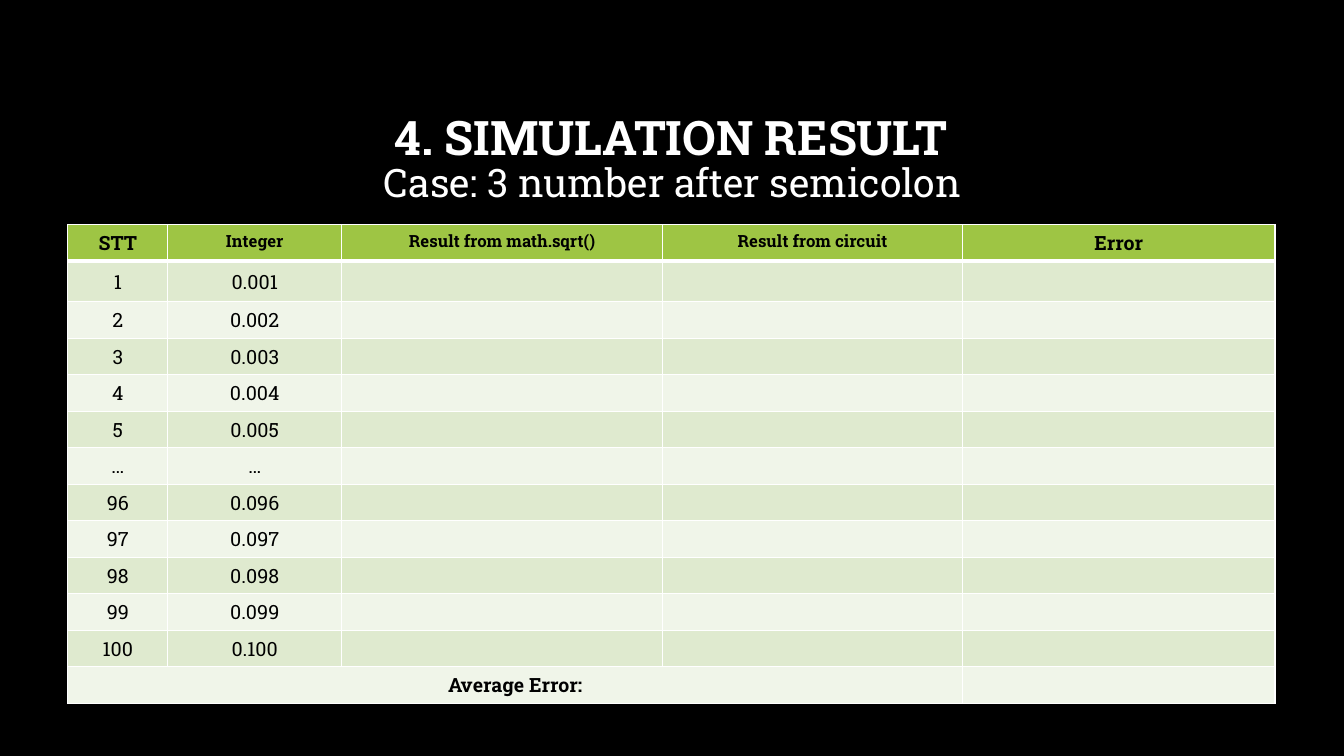
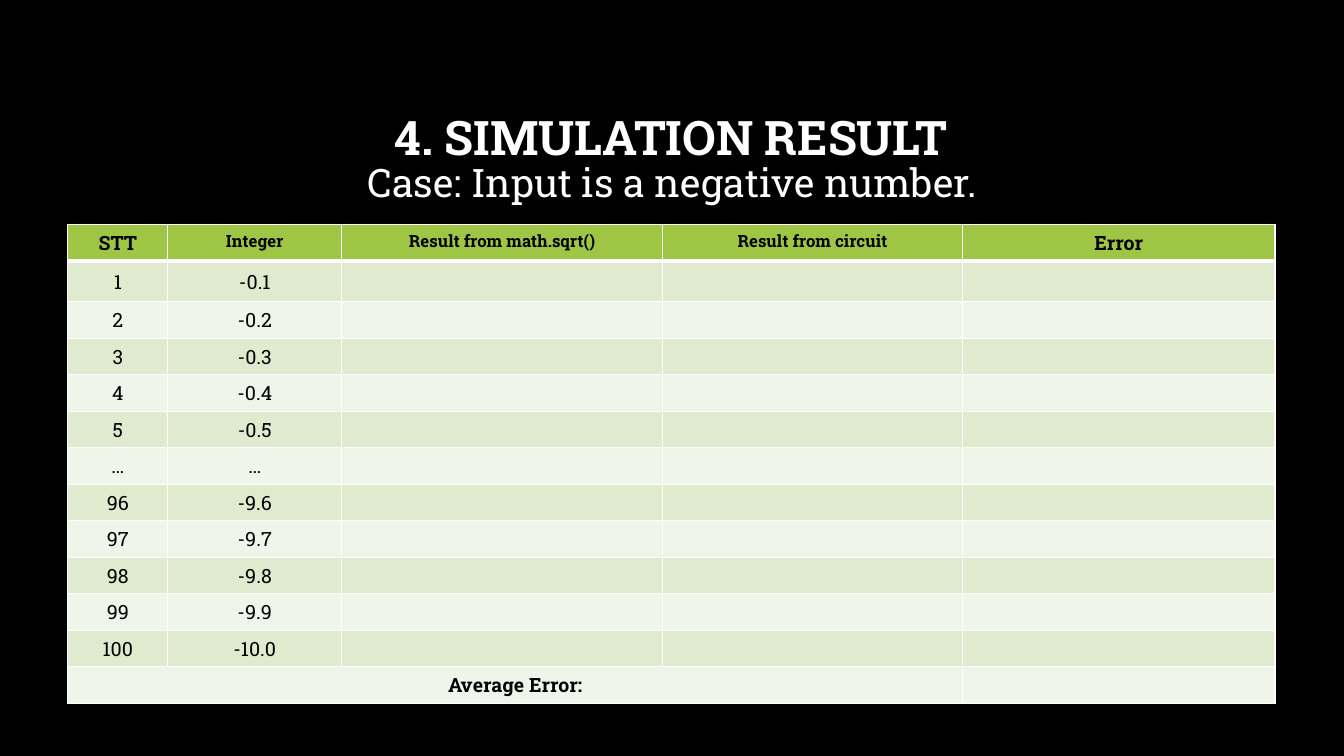
"""Build two simulation result slides, each with a table of square root tests."""
from lxml.etree import SubElement
from pptx import Presentation
from pptx.dml.color import RGBColor
from pptx.enum.text import MSO_ANCHOR as Anchor, PP_ALIGN as Align
from pptx.oxml.ns import qn
from pptx.util import Cm, Pt

TITLE = "4. SIMULATION RESULT"
CASES = [
    ("Case: 3 number after semicolon", 0.001, ".3f"),
    ("Case: Input is a negative number.", -0.1, ".1f"),
]
HEADINGS = [
    ("STT", 14),
    ("Integer", 12),
    ("Result from math.sqrt()", 12),
    ("Result from circuit", 12),
    ("Error", 14),
]
FIRST_TESTS, LAST_TESTS = range(1, 6), range(96, 101)
SUMMARY = "Average Error:"

FONT = "Roboto Slab"
BLACK, WHITE, GREEN = "000000", "FFFFFF", "9EC544"
BANDS = ["F0F5E9", "DFEACF"]
COLUMN_WIDTHS = [2.52, 4.38, 8.09, 7.56, 7.87]
ROW_HEIGHT, FIRST_TEST_HEIGHT = 0.92, 1.02


def paint(fill, color):
    fill.solid()
    fill.fore_color.rgb = RGBColor.from_string(color)


def write(frame, text, size=14, color=BLACK, bold=False, spacing=None, before=None):
    paragraph = frame.paragraphs[0]
    paragraph.alignment = Align.CENTER
    paragraph.line_spacing = spacing
    if before is not None:
        paragraph.space_before = Pt(before)
    if not text:
        SubElement(paragraph._p, qn("a:endParaRPr"), sz=str(size * 100))
        return
    run = paragraph.add_run()
    run.text = text
    run.font.name, run.font.size, run.font.bold = FONT, Pt(size), bold
    run.font.color.rgb = RGBColor.from_string(color)


def place(shape, left, top, width, height):
    shape.left, shape.top = Cm(left), Cm(top)
    shape.width, shape.height = Cm(width), Cm(height)


def outline(cell, top=1, bottom=1):
    properties = cell._tc.get_or_add_tcPr()
    for side, width in (("L", 1), ("R", 1), ("T", top), ("B", bottom)):
        line = SubElement(properties, qn(f"a:ln{side}"), w=str(Pt(width)))
        SubElement(SubElement(line, qn("a:solidFill")), qn("a:srgbClr"), val=WHITE)


def add_results(slide, step, pattern):
    def test_row(number):
        return [str(number), format(number * step, pattern)]

    body = [*map(test_row, FIRST_TESTS), ["…", "…"], *map(test_row, LAST_TESTS), [SUMMARY]]
    rows = [[heading for heading, _ in HEADINGS]] + body
    last = len(rows) - 1
    heights = [ROW_HEIGHT, FIRST_TEST_HEIGHT] + [ROW_HEIGHT] * (last - 1)
    results = slide.shapes.add_table(
        len(rows), len(HEADINGS), Cm(1.71), Cm(5.66), Cm(sum(COLUMN_WIDTHS)), Cm(sum(heights))
    ).table
    for column, width in zip(results.columns, COLUMN_WIDTHS):
        column.width = Cm(width)
    for r, (words, height) in enumerate(zip(rows, heights)):
        results.rows[r].height = Cm(height)
        for c, (_, heading_size) in enumerate(HEADINGS):
            cell = results.cell(r, c)
            outline(cell, top=3 if r == 1 else 1, bottom=3 if r == 0 else 1)
            paint(cell.fill, BANDS[r % 2] if r else GREEN)
            cell.vertical_anchor = Anchor.MIDDLE if r else Anchor.TOP
            write(cell.text_frame, words[c] if c < len(words) else "",
                  size=14 if r else heading_size, bold=r in (0, last))
    results.cell(last, 0).merge(results.cell(last, len(HEADINGS) - 2))


def add_case(deck, layout, case, step, pattern):
    slide = deck.slides.add_slide(layout)
    heading = slide.shapes.title.text_frame
    heading.vertical_anchor = Anchor.MIDDLE
    write(heading, TITLE, size=34, color=WHITE, bold=True, spacing=0.9)
    subtitle = slide.shapes.add_textbox(Cm(2.34), Cm(4.01), Cm(29.21), Cm(1.37)).text_frame
    subtitle.word_wrap = True
    write(subtitle, case, size=28, color=WHITE, spacing=0.9, before=10)
    add_results(slide, step, pattern)


def main():
    deck = Presentation()
    deck.slide_width, deck.slide_height = Cm(33.87), Cm(19.05)
    paint(deck.slide_master.background.fill, BLACK)
    layout = deck.slide_layouts.get_by_name("Title Only")
    place(layout.placeholders[0], 2.54, 1.7, 28.75, 3.68)
    for case in CASES:
        add_case(deck, layout, *case)
    deck.save("out.pptx")


if __name__ == "__main__":
    main()
